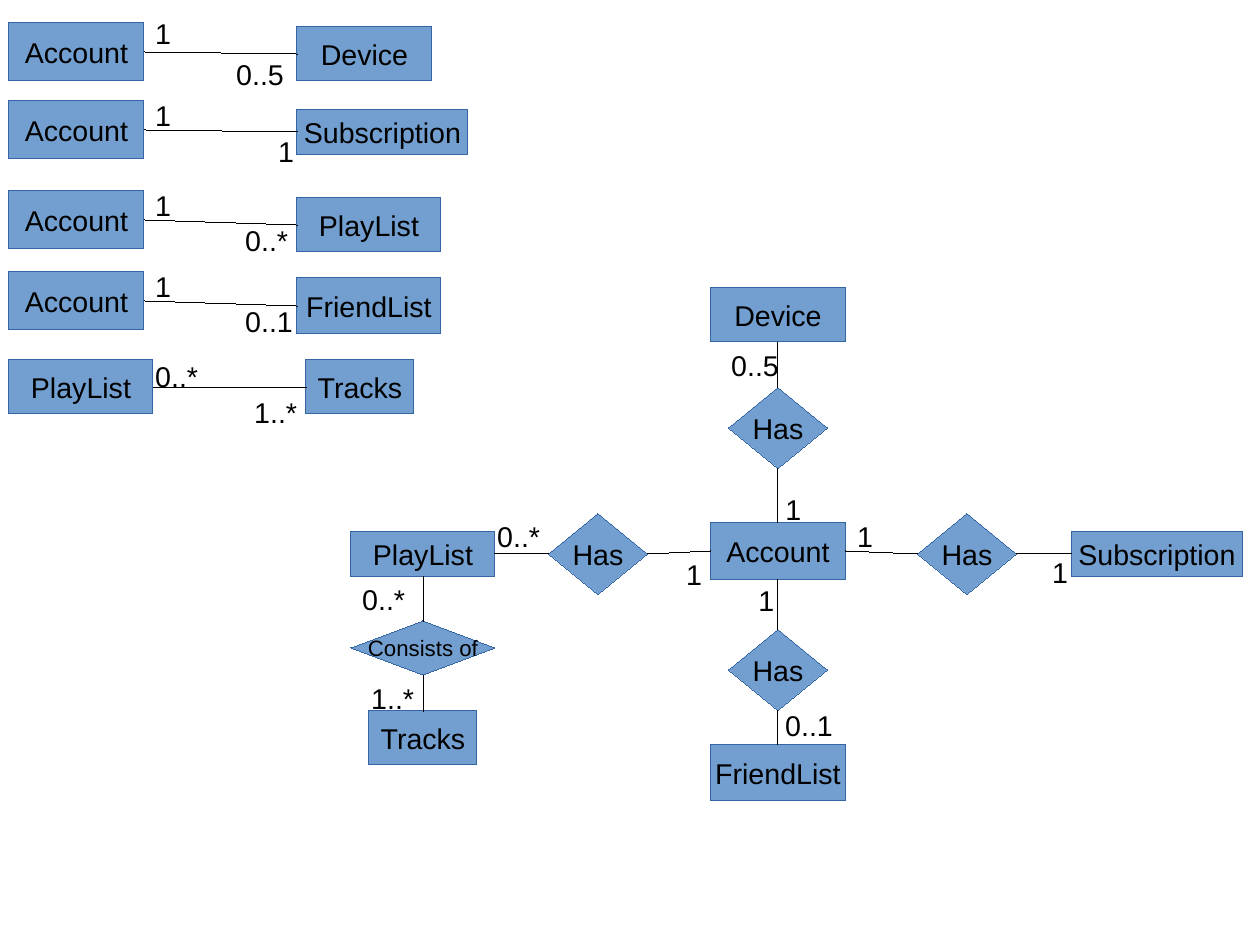
from lxml.etree import SubElement
from pptx import Presentation
from pptx.dml.color import RGBColor
from pptx.enum.shapes import MSO_CONNECTOR, MSO_SHAPE
from pptx.enum.text import MSO_ANCHOR, MSO_AUTO_SIZE, PP_ALIGN
from pptx.oxml.ns import qn
from pptx.util import Pt

EMU_PER_PX = 8000
FONT = "Arial"
HAIRLINE = Pt(0.01)
COLORS = {"fill": "729FCF", "border": "3465A4", "ink": "000000"}
TOP, LEFT, BOTTOM, RIGHT = range(4)
ROW_GAP = 153

SIZES = {
    "Account": (135, 58),
    "Device": (135, 54),
    "Subscription": (171, 45),
    "PlayList": (144, 54),
    "FriendList": (144, 56),
    "Tracks": (108, 54),
    "Has": (99, 81),
    "Consists of": (144, 54),
}

ROWS = [
    (0, "Account", "1", -13, "Device", 2, "0..5", 216, 28),
    (78, "Account", "1", -9, "Subscription", 2, "1", 258, 27),
    (168, "Account", "1", -9, "PlayList", 5, "0..*", 225, 26),
    (249, "Account", "1", -9, "FriendList", 5, "0..1", 225, 26),
    (337, "PlayList", "0..*", -7, "Tracks", 0, "1..*", 234, 29),
]

NODES = {
    "account": ("Account", 427, 263, SIZES["Account"]),
    "device": ("Device", 427, 27, SIZES["Device"]),
    "subscription": ("Subscription", 806, 266, SIZES["Subscription"]),
    "playlist": ("PlayList", 72, 266, (144, 45)),
    "friends": ("FriendList", 427, 485, (135, 56)),
    "tracks": ("Tracks", 72, 450, SIZES["Tracks"]),
    "has_device": ("Has", 427, 140, SIZES["Has"]),
    "has_subscription": ("Has", 616, 266, SIZES["Has"]),
    "has_playlist": ("Has", 247, 266, SIZES["Has"]),
    "has_friends": ("Has", 427, 382, SIZES["Has"]),
    "consists": ("Consists of", 72, 360, SIZES["Consists of"]),
}

LINKS = [
    ("account", TOP, "has_device", BOTTOM),
    ("has_device", TOP, "device", BOTTOM),
    ("account", RIGHT, "has_subscription", LEFT),
    ("has_subscription", RIGHT, "subscription", LEFT),
    ("has_playlist", RIGHT, "account", LEFT),
    ("playlist", RIGHT, "has_playlist", LEFT),
    ("account", BOTTOM, "has_friends", TOP),
    ("has_friends", BOTTOM, "friends", TOP),
    ("consists", TOP, "playlist", BOTTOM),
    ("consists", BOTTOM, "tracks", TOP),
]

LABELS = [
    ("0..5", 369, 54), ("1", 423, 198),
    ("1", 495, 225), ("1", 690, 261),
    ("1", 324, 263), ("0..*", 135, 225),
    ("1", 396, 289), ("0..1", 423, 414),
    ("0..*", 0, 288), ("1..*", 9, 387),
]


def px(n):
    return round(n * EMU_PER_PX)


def rgb(name):
    return RGBColor.from_string(COLORS[name])


def write(tf, text, size=18):
    tf.word_wrap = False
    p = tf.paragraphs[0]
    p.text = text
    font = p.runs[0].font
    font.name, font.size = FONT, Pt(size)
    font.color.rgb = rgb("ink")
    return p


def add_node(slide, text, cx, cy, size):
    w, h = size
    relation = text in ("Has", "Consists of")
    kind = MSO_SHAPE.DIAMOND if relation else MSO_SHAPE.RECTANGLE
    sp = slide.shapes.add_shape(kind, px(cx - w / 2), px(cy - h / 2), px(w), px(h))
    sp.shadow.inherit = False
    sp.fill.solid()
    sp.fill.fore_color.rgb = rgb("fill")
    sp.line.color.rgb = rgb("border")
    sp.line.width = HAIRLINE
    sp.text_frame.vertical_anchor = MSO_ANCHOR.MIDDLE
    p = write(sp.text_frame, text, 14 if text == "Consists of" else 18)
    p.alignment = PP_ALIGN.CENTER
    return sp


def add_link(slide, start, start_side, end, end_side):
    link = slide.shapes.add_connector(MSO_CONNECTOR.STRAIGHT, 0, 0, 0, 0)
    link.begin_connect(start, start_side)
    link.end_connect(end, end_side)
    link.line.color.rgb = rgb("ink")
    link.line.width = HAIRLINE
    SubElement(link._element.spPr, qn("a:effectLst"))


def add_label(slide, text, x, y):
    w = 39 if len(text) == 1 else 72
    tb = slide.shapes.add_textbox(px(x), px(y), px(w), px(43))
    write(tb.text_frame, text)
    tb.text_frame.auto_size = MSO_AUTO_SIZE.SHAPE_TO_FIT_TEXT


def add_pairs(slide, left, top):
    for dy, owner, near, near_y, owned, drop, far, far_x, far_y in ROWS:
        y = top + dy
        w, h = SIZES[owner]
        cy = y + h / 2
        start = add_node(slide, owner, left + w / 2, cy, SIZES[owner])
        owned_x = left + w + ROW_GAP + SIZES[owned][0] / 2
        end = add_node(slide, owned, owned_x, cy + drop, SIZES[owned])
        add_link(slide, start, RIGHT, end, LEFT)
        add_label(slide, near, left + SIZES["Account"][0], y + near_y)
        add_label(slide, far, left + far_x, y + far_y)


def add_diagram(slide, left, top):
    nodes = {
        key: add_node(slide, text, left + cx, top + cy, size)
        for key, (text, cx, cy, size) in NODES.items()
    }
    for start, start_side, end, end_side in LINKS:
        add_link(slide, nodes[start], start_side, nodes[end], end_side)
    for text, x, y in LABELS:
        add_label(slide, text, left + x, top + y)


def main():
    prs = Presentation()
    prs.slide_width, prs.slide_height = px(1260), px(945)
    slide = prs.slides.add_slide(prs.slide_layouts[6])
    add_pairs(slide, 9, 23)
    add_diagram(slide, 351, 288)
    prs.save("out.pptx")


if __name__ == "__main__":
    main()
